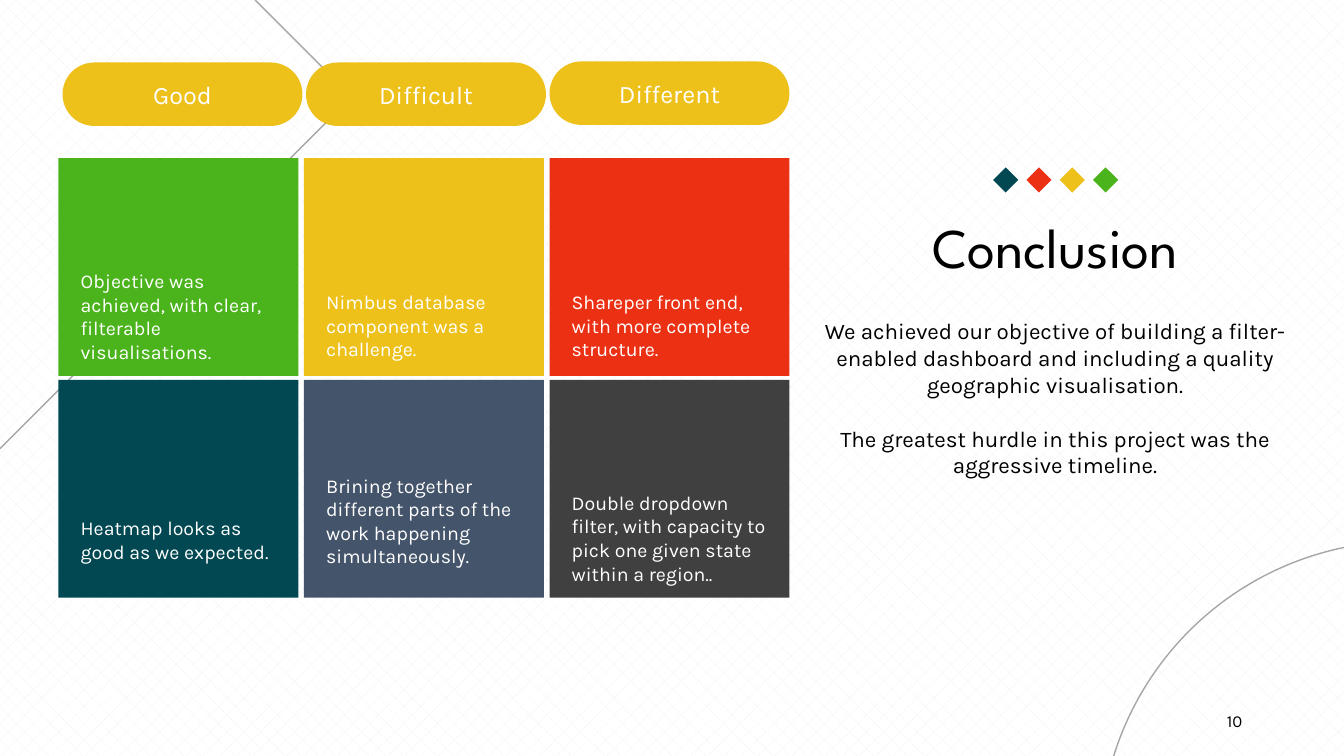
from dataclasses import dataclass

from pptx import Presentation
from pptx.dml.color import RGBColor
from pptx.enum.dml import MSO_PATTERN
from pptx.enum.shapes import MSO_SHAPE
from pptx.enum.text import MSO_ANCHOR, PP_ALIGN
from pptx.util import Inches, Pt

# Content
TITLE = "Conclusion"
SUMMARY = [
    "We achieved our objective of building a filter-enabled dashboard and "
    "including a quality geographic visualisation.",
    "The greatest hurdle in this project was the aggressive timeline.",
]
PAGE_NUMBER = "10"
HEADINGS = [("Good", 0.62), ("Difficult", 0.62), ("Different", 0.61)]  # text, top
# Rows of tiles: colour, text, text top, text width, line count
TILES = [
    [
        ("green", "Objective was achieved, with clear, filterable visualisations.", 2.62, 2.13, 4),
        ("yellow", "Nimbus database component was a challenge.", 2.83, 2.03, 3),
        ("red", "Shareper front end, with more complete structure.", 2.83, 2.03, 3),
    ],
    [
        ("teal", "Heatmap looks as good as we expected.", 5.07, 2.03, 2),
        ("slate", "Brining together different parts of the work happening simultaneously.", 4.65, 2.03, 4),
        ("charcoal", "Double dropdown filter, with capacity to pick one given state "
                     "within a region..", 4.82, 2.03, 4),
    ],
]
DIAMONDS = ["teal", "red", "yellow", "green"]
CORNER_LINE = [(2.53, 0), (3.49, 0.96), (0, 4.45)]


@dataclass(frozen=True)
class Theme:
    green: str = "4BB41C"
    yellow: str = "EDC11A"
    red: str = "EC3014"
    teal: str = "024852"
    slate: str = "44546A"
    charcoal: str = "404040"
    white: str = "FFFFFF"
    black: str = "000000"
    pattern: str = "F2F2F2"
    line: str = "A6A6A6"
    body_font: str = "Karla"
    title_font: str = "League Spartan"
    title_size: int = 40
    heading_size: int = 18
    summary_size: int = 16
    tile_size: int = 14
    number_size: int = 12


THEME = Theme()


def color(name):
    return RGBColor.from_string(getattr(THEME, name))


def write(shape, paragraphs, size, ink, align=PP_ALIGN.LEFT, font=THEME.body_font,
          anchor=MSO_ANCHOR.TOP, margins=None, gap=0):
    frame = shape.text_frame
    frame.word_wrap = True
    frame.vertical_anchor = anchor
    if margins is not None:
        frame.margin_left = frame.margin_right = Inches(margins)
        frame.margin_top = frame.margin_bottom = Inches(margins)
    for index, text in enumerate(paragraphs):
        paragraph = frame.add_paragraph() if index else frame.paragraphs[0]
        paragraph.text = text
        paragraph.alignment = align
        if index:
            paragraph.space_before = Pt(gap)
        paragraph.font.name = font
        paragraph.font.size = Pt(size)
        paragraph.font.color.rgb = color(ink)


def add_block(slide, kind, box, fill):
    shape = slide.shapes.add_shape(kind, *map(Inches, box))
    shape.shadow.inherit = False
    shape.fill.solid()
    shape.fill.fore_color.rgb = color(fill)
    shape.line.fill.background()
    return shape


def add_text(slide, box, *args, **options):
    write(slide.shapes.add_textbox(*map(Inches, box)), *args, **options)


def style_outline(shape):
    shape.shadow.inherit = False
    shape.fill.background()
    shape.line.color.rgb = color("line")
    shape.line.width = Pt(1)


def add_backdrop(slide):
    fill = slide.background.fill
    fill.patterned()
    fill.pattern = MSO_PATTERN.DIAGONAL_BRICK
    fill.fore_color.rgb = color("pattern")
    fill.back_color.rgb = color("white")

    arc = slide.shapes.add_shape(MSO_SHAPE.ARC, *map(Inches, (10.91, 5.37, 6.06, 6.06)))
    arc.adjustments[0] = 118.24
    arc.adjustments[1] = 155.13
    style_outline(arc)

    start, *corners = [(Inches(x), Inches(y)) for x, y in CORNER_LINE]
    builder = slide.shapes.build_freeform(*start)
    builder.add_line_segments(corners, close=False)
    style_outline(builder.convert_to_shape())


def add_tiles(slide):
    left, top, width, height = 0.58, 1.57, 2.38, 2.16
    column_step, row_step, inset = 2.435, 2.2, 0.17
    for row, tiles in enumerate(TILES):
        for column, (fill, text, text_top, text_width, lines) in enumerate(tiles):
            x = left + column * column_step
            add_block(slide, MSO_SHAPE.RECTANGLE, (x, top + row * row_step, width, height), fill)
            add_text(slide, (x + inset, text_top, text_width, 0.09 + 0.24 * lines),
                     [text], THEME.tile_size, "white", margins=0.05)


def add_headings(slide):
    for column, (text, top) in enumerate(HEADINGS):
        pill = add_block(slide, MSO_SHAPE.ROUNDED_RECTANGLE,
                         (0.62 + column * 2.415, top, 2.38, 0.63), "yellow")
        pill.adjustments[0] = 0.5
        write(pill, [text], THEME.heading_size, "white", PP_ALIGN.CENTER,
              anchor=MSO_ANCHOR.MIDDLE)


def add_conclusion(slide):
    for index, fill in enumerate(DIAMONDS):
        add_block(slide, MSO_SHAPE.DIAMOND, (9.85 + index * 0.33, 1.66, 0.25, 0.25), fill)
    add_text(slide, (8.18, 2.06, 4.57, 0.77), [TITLE], THEME.title_size, "black",
             PP_ALIGN.CENTER, font=THEME.title_font, anchor=MSO_ANCHOR.MIDDLE)
    add_text(slide, (8.18, 3.15, 4.57, 1.62), SUMMARY, THEME.summary_size, "black",
             PP_ALIGN.CENTER, margins=0, gap=19)


def main():
    presentation = Presentation()
    presentation.slide_width = Inches(13.33)
    presentation.slide_height = Inches(7.5)
    slide = presentation.slides.add_slide(presentation.slide_layouts[6])
    add_backdrop(slide)
    add_tiles(slide)
    add_headings(slide)
    add_conclusion(slide)
    # Page number
    add_text(slide, (9.42, 6.95, 3, 0.4), [PAGE_NUMBER], THEME.number_size, "black",
             PP_ALIGN.RIGHT, anchor=MSO_ANCHOR.MIDDLE)
    presentation.save("out.pptx")


if __name__ == "__main__":
    main()
